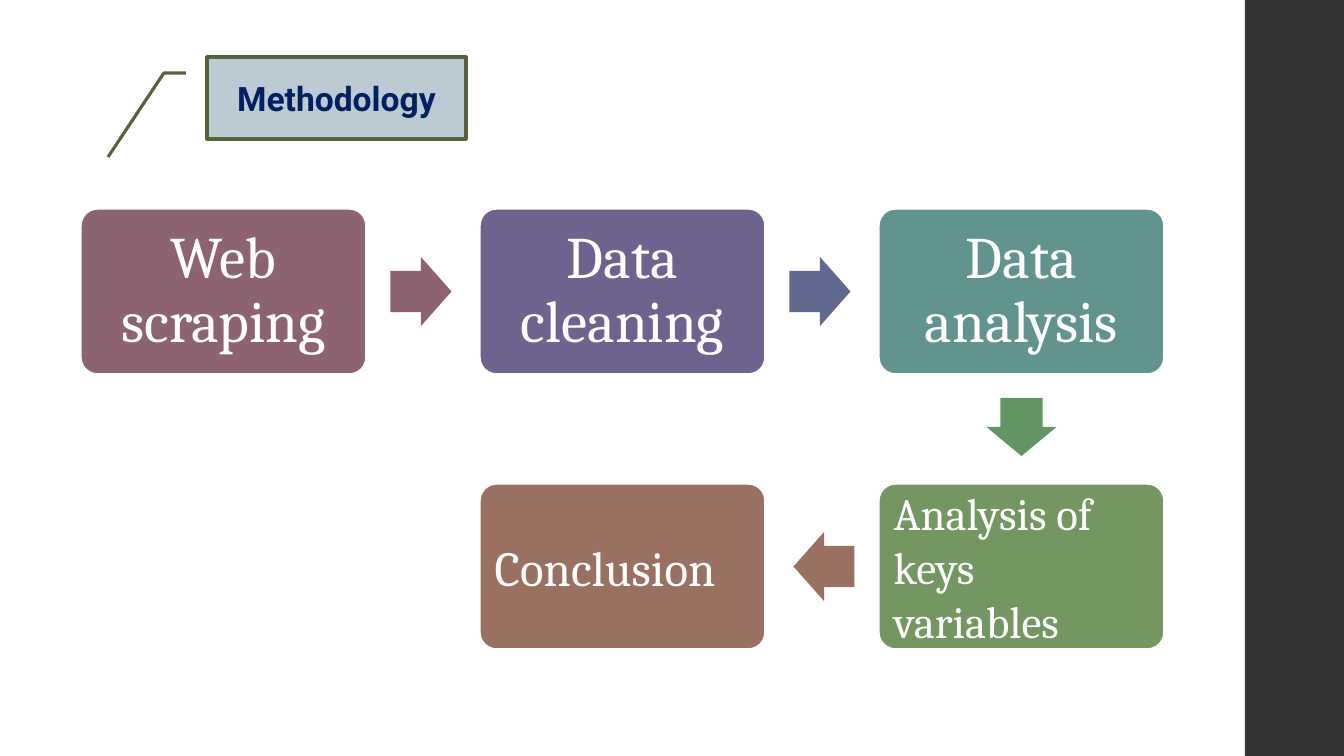
from pptx import Presentation
from pptx import util as u
from pptx.dml.color import RGBColor
from pptx.enum import shapes, text

PX = 914400 / 100.8
PAGE = (1344, 756)
SIDEBAR = (1245, 0, 99, 756)
TITLE = "Methodology"
TITLE_BOX = (207, 57, 259, 82)
LEADER = [(186, 73), (164, 73), (108, 157)]
LEADER_COLOR = "55633C"

# text, column, row, fill, size in points, inset, alignment, line spacing
CENTER, LEFT = text.PP_ALIGN.CENTER, text.PP_ALIGN.LEFT
STEPS = [
    ("Web scraping", 0, 0, "8D6374", 42, 17, CENTER, 0.9),
    ("Data cleaning", 1, 0, "6E628F", 42, 17, CENTER, 0.9),
    ("Data analysis", 2, 0, "61938F", 42, 17, CENTER, 0.9),
    ("Analysis of keys variables", 2, 1, "749661", 32, 10, LEFT, 1.0),
    ("Conclusion", 1, 1, "9A7161", 35, 10, LEFT, 1.0),
]
# fill, rotation, length, breadth of the arrow after each step
ARROWS = [
    ("8D6374", 0, 61, 69),
    ("616991", 0, 61, 69),
    ("619664", 90, 58, 70),
    ("9A7161", 180, 61, 69),
]
GRID_LEFT, GRID_TOP = 81, 209
STEP_WIDTH, STEP_HEIGHT = 285, 165
COLUMN_PITCH, ROW_PITCH = 399, 275
ARROW_SHIFT = 2


def px(value):
    return u.Emu(round(value * PX))


def color(value):
    return RGBColor.from_string(value)


def paint(shape, fill=None, line=None, width=1):
    if fill:
        shape.fill.solid()
        shape.fill.fore_color.rgb = color(fill)
    else:
        shape.fill.background()
    if line:
        shape.line.color.rgb = color(line)
        shape.line.width = u.Pt(width)
    else:
        shape.line.fill.background()


def add_box(page, kind, bounds, **look):
    shape = page.shapes.add_shape(kind, *map(px, bounds))
    shape.shadow.inherit = False
    paint(shape, **look)
    return shape


def write(shape, words, *, size, font, ink, bold=False, align=CENTER,
          spacing=1.0, inset=(10, 5)):
    frame = shape.text_frame
    frame.word_wrap = True
    frame.auto_size = text.MSO_AUTO_SIZE.NONE
    frame.vertical_anchor = text.MSO_ANCHOR.MIDDLE
    frame.margin_left = frame.margin_right = px(inset[0])
    frame.margin_top = frame.margin_bottom = px(inset[1])
    para = frame.paragraphs[0]
    para.alignment, para.line_spacing = align, spacing
    span = para.add_run()
    span.text = words
    span.font.size, span.font.name, span.font.bold = u.Pt(size), font, bold
    span.font.color.rgb = color(ink)


def step_center(step):
    return (GRID_LEFT + step[1] * COLUMN_PITCH + STEP_WIDTH / 2,
            GRID_TOP + step[2] * ROW_PITCH + STEP_HEIGHT / 2)


def toward(start, end):
    """Midpoint of two centres, moved slightly back to the first."""
    shift = ARROW_SHIFT if end > start else -ARROW_SHIFT if end < start else 0
    return (start + end) / 2 - shift


def add_title(page):
    title = page.shapes.title
    title.left, title.top, title.width, title.height = map(px, TITLE_BOX)
    paint(title, fill="BCCAD4", line=LEADER_COLOR, width=2.25)
    write(title, TITLE, size=24, font="Roboto", ink="002060", bold=True)
    builder = page.shapes.build_freeform(*LEADER[0], scale=PX)
    builder.add_line_segments(LEADER[1:], close=False)
    leader = builder.convert_to_shape()
    leader.shadow.inherit = False
    paint(leader, line=LEADER_COLOR, width=2.25)


def add_step(page, step):
    words, _, _, fill, size, inset, align, spacing = step
    x, y = step_center(step)
    bounds = (x - STEP_WIDTH / 2, y - STEP_HEIGHT / 2, STEP_WIDTH, STEP_HEIGHT)
    box = add_box(page, shapes.MSO_SHAPE.ROUNDED_RECTANGLE, bounds,
                  fill=fill, line="FFFFFF", width=1.1)
    box.adjustments[0] = 0.1
    write(box, words, size=size, font="Cambria", ink="FFFFFF", align=align,
          spacing=spacing, inset=(inset, inset))


def add_arrow(page, arrow, start, end):
    fill, rotation, length, breadth = arrow
    x, y = map(toward, step_center(start), step_center(end))
    bounds = (x - length / 2, y - breadth / 2, length, breadth)
    shape = add_box(page, shapes.MSO_SHAPE.RIGHT_ARROW, bounds, fill=fill)
    shape.adjustments[0], shape.adjustments[1] = 0.6, 0.5
    shape.rotation = rotation


def main():
    deck = Presentation()
    deck.slide_width, deck.slide_height = map(px, PAGE)
    page = deck.slides.add_slide(deck.slide_layouts[5])
    add_box(page, shapes.MSO_SHAPE.RECTANGLE, SIDEBAR, fill="343437")
    add_title(page)
    for step in STEPS:
        add_step(page, step)
    for arrow, start, end in zip(ARROWS, STEPS, STEPS[1:]):
        add_arrow(page, arrow, start, end)
    deck.save("out.pptx")


if __name__ == "__main__":
    main()
